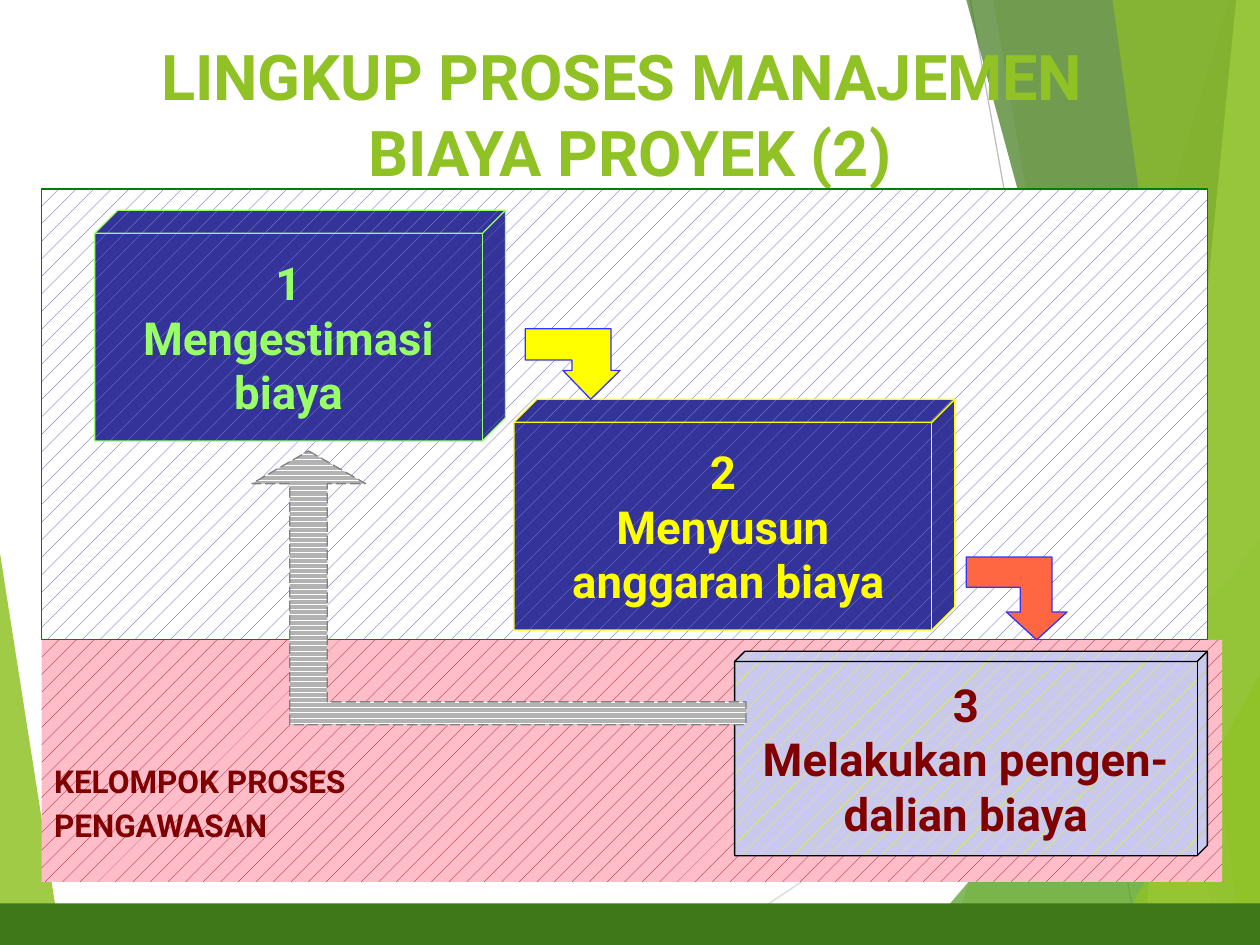
"""Build the slide on the cost management process of a project."""
from typing import Any, NamedTuple, Optional

from lxml.etree import SubElement
from pptx import Presentation
from pptx.dml.color import RGBColor
from pptx.enum.dml import MSO_LINE, MSO_PATTERN
from pptx.enum.shapes import MSO_CONNECTOR, MSO_SHAPE
from pptx.enum.text import MSO_ANCHOR, PP_ALIGN
from pptx.oxml.ns import qn
from pptx.util import Cm, Pt

WIDE, HIGH = 25.4, 19.05
LIME = RGBColor(0x90, 0xC2, 0x26)
GREEN = RGBColor(0x54, 0xA0, 0x21)
FOREST = RGBColor(0x3F, 0x78, 0x19)
PALE = RGBColor(0xC0, 0xE4, 0x74)
SILVER = RGBColor(0xD9, 0xD9, 0xD9)
ASH = RGBColor(0xBF, 0xBF, 0xBF)
STEEL = RGBColor(0xB2, 0xB2, 0xB2)
GREY = RGBColor(0x80, 0x80, 0x80)
WHITE = RGBColor(0xFF, 0xFF, 0xFF)
BLACK = RGBColor(0, 0, 0)
MAROON = RGBColor(0x80, 0, 0)
PINK = RGBColor(0xFF, 0xBD, 0xCA)
NAVY = RGBColor(0x33, 0x33, 0x99)
BLUE = RGBColor(0x33, 0x33, 0xFF)
LILAC = RGBColor(0x91, 0x91, 0xDB)
MIST = RGBColor(0xC9, 0xC9, 0xED)
MINT = RGBColor(0x99, 0xFF, 0x66)
YELLOW = RGBColor(0xFF, 0xFF, 0)
CORAL = RGBColor(0xFF, 0x67, 0x43)
EDGE = RGBColor(0, 0x80, 0)

Points = list[tuple[float, float]]


class Paint(NamedTuple):
    fore: RGBColor
    back: Optional[RGBColor] = None
    line: Optional[RGBColor] = None
    alpha: int = 100
    kind: Any = MSO_PATTERN.PERCENT_5
    dash: Any = None


class Area(NamedTuple):
    left: float
    top: float
    width: float
    height: float


class Poly(NamedTuple):
    points: Points
    paint: Paint


class Ray(NamedTuple):
    start: tuple[float, float]
    end: tuple[float, float]
    color: RGBColor


class Step(NamedTuple):
    area: Area
    depth: float
    paint: Paint
    ink: RGBColor
    lines: list[str]


def band(top: float, foot: float, color: RGBColor, alpha: int) -> Poly:
    points = [(top, 0), (foot, HIGH), (WIDE, HIGH), (WIDE, 0)]
    return Poly(points, Paint(color, alpha=alpha))


RAYS = [
    Ray((14.25, HIGH), (WIDE, 11.61), SILVER),
    Ray((19.56, 0), (22.96, HIGH), ASH),
]
WEDGE = Poly([(0, 11.15), (1.24, HIGH), (0, HIGH)], Paint(LIME, alpha=85))
BANDS = [
    band(24.77, 19.15, LIME, 30),
    band(20.02, 23.34, LIME, 20),
    Poly([(18.44, HIGH), (WIDE, 10.9), (WIDE, HIGH)], Paint(GREEN, alpha=72)),
    band(19.48, 24.64, FOREST, 70),
    band(24.92, 23.04, PALE, 70),
    band(22.43, 25.04, LIME, 65),
    Poly([(22.38, HIGH), (WIDE, 13.59), (WIDE, HIGH)], Paint(LIME, alpha=80)),
]
PANELS = [
    (Area(0.84, 12.9, 23.8, 4.88), Paint(MAROON, PINK)),
    (Area(0.84, 3.81, 23.5, 9.09), Paint(NAVY, WHITE, EDGE)),
]
STEPS = [
    Step(Area(10.36, 8.05, 8.89, 4.65), 0.1, Paint(LILAC, NAVY, YELLOW),
         YELLOW, ["2", "Menyusun", " anggaran biaya"]),
    Step(Area(1.91, 4.24, 8.28, 4.65), 0.1, Paint(LILAC, NAVY, MINT),
         MINT, ["1", "Mengestimasi", "biaya"]),
    Step(Area(14.81, 13.13, 9.53, 4.12), 0.05, Paint(YELLOW, MIST, BLACK),
         MAROON, ["3", "Melakukan pengen-", "dalian biaya"]),
]
ARROWS = [
    Poly([(20.9, 12.9), (20.29, 12.34), (20.57, 12.34), (20.57, 11.84),
          (19.48, 11.84), (19.48, 11.23), (21.21, 11.23), (21.21, 12.34),
          (21.51, 12.34)], Paint(CORAL, line=BLUE)),
    Poly([(11.91, 8.05), (11.35, 7.47), (11.53, 7.47), (11.53, 7.26),
          (10.59, 7.26), (10.59, 6.63), (12.32, 6.63), (12.32, 7.47),
          (12.5, 7.47)], Paint(YELLOW, line=BLUE)),
    Poly([(6.22, 9.09), (7.37, 9.75), (6.6, 9.75), (6.6, 14.15),
          (15.04, 14.15), (15.04, 14.61), (5.84, 14.61), (5.84, 9.75),
          (5.08, 9.75)],
         Paint(STEEL, WHITE, GREY, kind=MSO_PATTERN.DARK_HORIZONTAL,
               dash=MSO_LINE.LONG_DASH)),
]


def apply(item: Any, form: dict[str, Any]) -> None:
    for name, value in form.items():
        setattr(item, name, value)


def coat(shape: Any, paint: Paint) -> None:
    shape.shadow.inherit = False
    fill = shape.fill
    if paint.back is None:
        fill.solid()
    else:
        fill.patterned()
        fill.pattern = paint.kind
        fill.back_color.rgb = paint.back
    fill.fore_color.rgb = paint.fore
    if paint.alpha < 100:
        tint = shape.fill._xPr.find(".//" + qn("a:srgbClr"))
        SubElement(tint, qn("a:alpha")).set("val", str(paint.alpha * 1000))
    if paint.line is None:
        shape.line.fill.background()
    else:
        shape.line.color.rgb = paint.line
        apply(shape.line, {"width": Pt(0.75), "dash_style": paint.dash})


def draw_poly(shapes: Any, poly: Poly) -> None:
    first, *rest = [(Cm(x), Cm(y)) for x, y in poly.points]
    pen = shapes.build_freeform(*first)
    pen.add_line_segments(rest, close=True)
    coat(pen.convert_to_shape(), poly.paint)


def draw_ray(shapes: Any, ray: Ray) -> None:
    ends = map(Cm, (*ray.start, *ray.end))
    line = shapes.add_connector(MSO_CONNECTOR.STRAIGHT, *ends)
    line.line.color.rgb = ray.color
    line.line.width = Pt(0.75)
    SubElement(line._element.spPr, qn("a:effectLst"))


def draw_shape(shapes: Any, kind: Any, area: Area, paint: Paint) -> Any:
    shape = shapes.add_shape(kind, *map(Cm, area))
    coat(shape, paint)
    return shape


def write(frame: Any, lines: list[str], size: float, color: RGBColor,
          align: Any, gap: float = 0) -> None:
    font = {"name": "Roboto", "size": Pt(size), "bold": True}
    for index, line in enumerate(lines):
        para = frame.add_paragraph() if index else frame.paragraphs[0]
        para.text = line
        apply(para, {"alignment": align, "space_before": Pt(gap if index else 0)})
        for run in para.runs:
            apply(run.font, font)
            run.font.color.rgb = color


def draw_text(shapes: Any, area: Area, *style: Any) -> None:
    frame = shapes.add_textbox(*map(Cm, area)).text_frame
    frame.word_wrap = True
    write(frame, *style)


def draw_step(shapes: Any, step: Step) -> None:
    cube = draw_shape(shapes, MSO_SHAPE.CUBE, step.area, step.paint)
    cube.adjustments[0] = step.depth
    apply(cube.text_frame, {
        "word_wrap": False, "vertical_anchor": MSO_ANCHOR.MIDDLE,
        "margin_left": Cm(0.05), "margin_right": Cm(0.05),
        "margin_top": Cm(0.1), "margin_bottom": Cm(0.1)})
    write(cube.text_frame, step.lines, 26, step.ink, PP_ALIGN.CENTER)


def main() -> None:
    deck = Presentation()
    apply(deck, {"slide_width": Cm(WIDE), "slide_height": Cm(HIGH)})
    shapes = deck.slides.add_slide(deck.slide_layouts[6]).shapes
    draw_poly(shapes, WEDGE)
    for ray in RAYS:
        draw_ray(shapes, ray)
    for poly in BANDS:
        draw_poly(shapes, poly)
    draw_shape(shapes, MSO_SHAPE.RECTANGLE, Area(0, 18.21, WIDE, 0.84), Paint(FOREST))
    draw_text(shapes, Area(0, 0.64, WIDE, 2.74),
              ["LINGKUP PROSES MANAJEMEN \vBIAYA PROYEK (2)"], 36, LIME, PP_ALIGN.CENTER)
    for area, paint in PANELS:
        draw_shape(shapes, MSO_SHAPE.RECTANGLE, area, paint)
    for step in STEPS:
        draw_step(shapes, step)
    for poly in ARROWS:
        draw_poly(shapes, poly)
    draw_text(shapes, Area(0.84, 15.24, 8.89, 2.54),
              ["KELOMPOK PROSES", "PENGAWASAN"], 18, MAROON, PP_ALIGN.LEFT, 3.6)
    deck.save("out.pptx")


if __name__ == "__main__":
    main()
